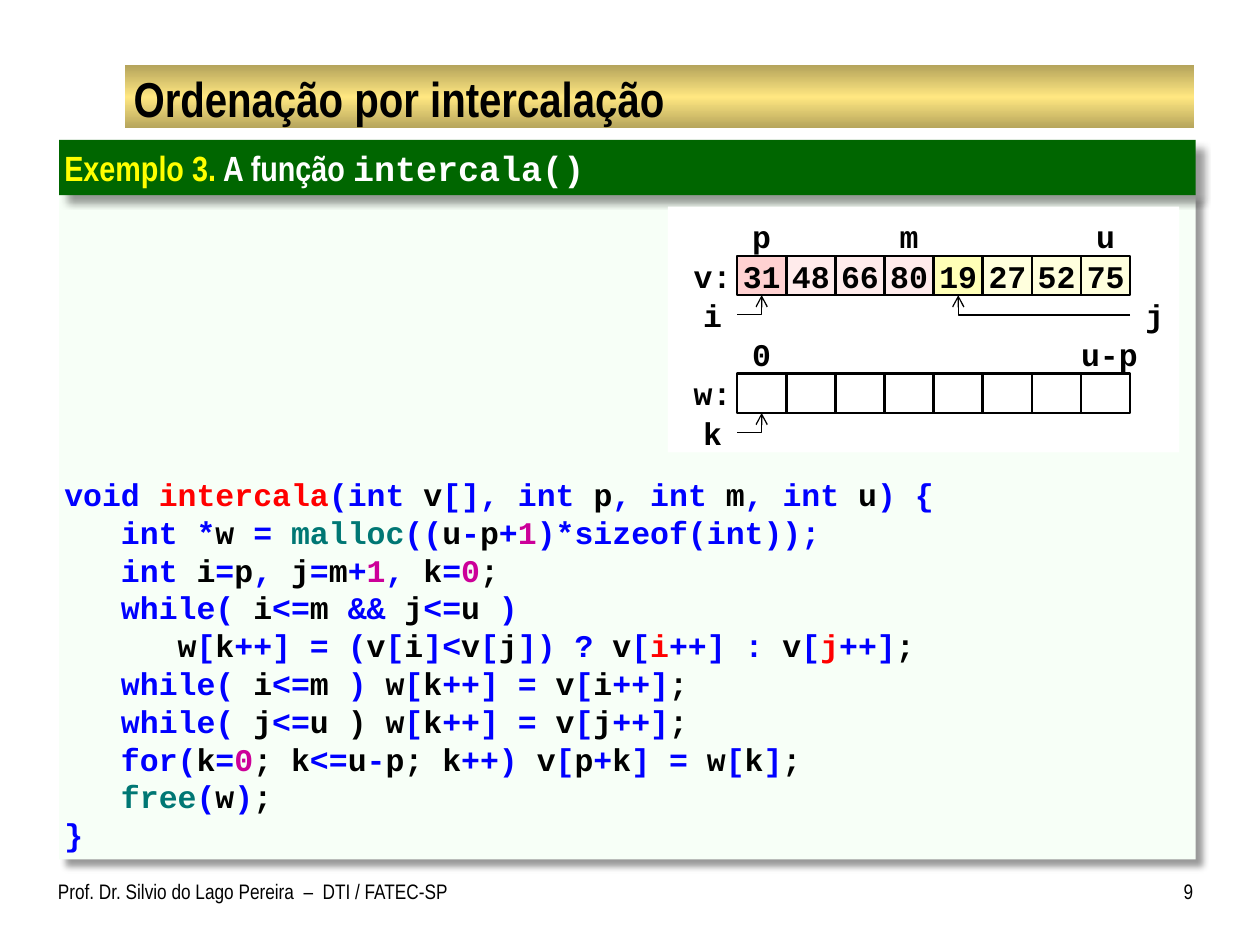
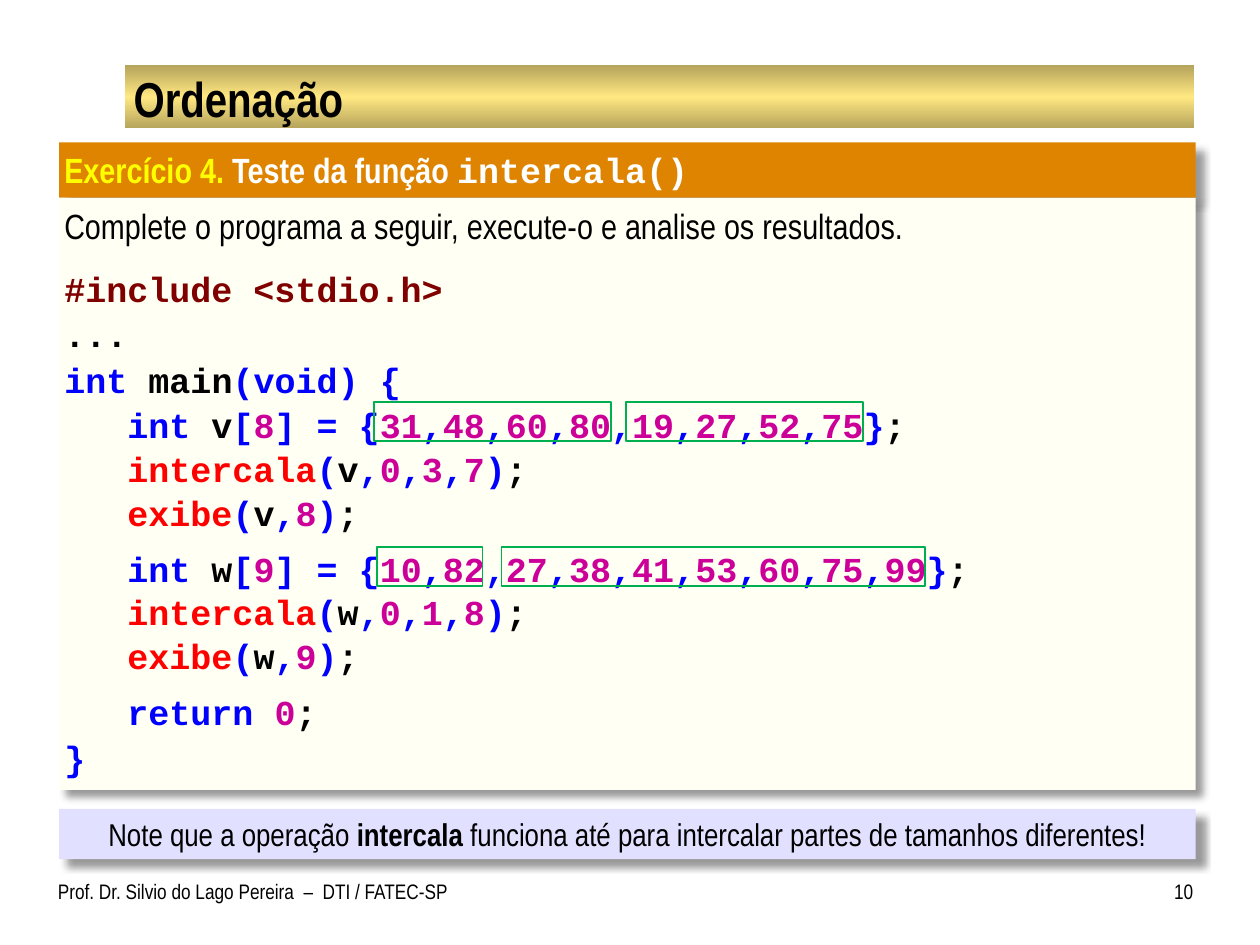
from itertools import groupby
from typing import NamedTuple

from lxml import etree
from pptx import Presentation
from pptx.dml.color import RGBColor
from pptx.enum.shapes import MSO_CONNECTOR as Connector, MSO_SHAPE as Preset
from pptx.enum.text import MSO_ANCHOR as Anchor, MSO_AUTO_SIZE as AutoSize, PP_ALIGN as Align
from pptx.oxml import parse_xml
from pptx.oxml.ns import nsdecls, qn
from pptx.util import Inches, Pt


class Theme:
    sans, mono = "Arial Narrow", "Courier New"
    title, heading, text, footer = 28, 20, 18, 12
    black, white, yellow = "000000", "FFFFFF", "FFFF00"
    band_edge, band_middle = "B5A45C", "FFE781"
    example, example_panel = "006600", "F7FFF7"
    exercise, exercise_panel = "DE8400", "FFFFF3"
    note, marker = "E1E1FF", "00B050"
    first_half, first_current = "FFEBEB", "FFD1D1"
    second_half, second_current = "FFFFDD", "FFFFB7"
    keyword, function, library = "0000FF", "FF0000", "007774"
    number, directive = "CC0099", "800000"


class Box(NamedTuple):
    left: float
    top: float
    width: float
    height: float

    def inches(self):
        return [Inches(length) for length in self]

    def inner(self, left, top, width, height):
        return Box(self.left + left, self.top + top, width, height)


TITLE_BAND = Box(0.99, 0.52, 8.49, 0.5)
TITLE = Box(1, 0.54, 8.47, 0.47)
FOOTER = Box(0.46, 6.92, 9.01, 0.42)

# Code colouring: a mark forces the colour of the token after it
KEYWORDS = {"void", "int", "sizeof", "while", "for", "return"}
WORD_COLORS = {
    **dict.fromkeys(KEYWORDS, Theme.keyword),
    **dict.fromkeys(("intercala", "exibe"), Theme.function),
    **dict.fromkeys(("malloc", "free"), Theme.library),
    **dict.fromkeys(";.", Theme.black),
}
MARKS = {"@": Theme.function, "$": Theme.black, "~": Theme.keyword}

MERGE_CODE = """\
void intercala(int v[], int p, int m, int u) {
   int *w = malloc((u-p+1)*sizeof(int))~;
   int i=p, j=m+1, k=0;
   while( i<=m && j<=u )
      w[k++] = (v[i]<v[j]) ? v[@i++] : v[@j++];
   while( i<=m ) w[k++] = v[i++];
   while( j<=u $) w[k++] = v[j++];
   for(k=0; k<=u-p; k++) v[p+k] = w[k];
   free(w);
}""".splitlines()

TEST_CODE = (
    (12, "#include <stdio.h>"),
    (2, "..."),
    (2, "int main(void) {"),
    (2, "   int v[8] = {31,48,60,80,19,27,52,75};"),
    (1, "   intercala(v,0,3,7);"),
    (1, "   exibe(v,8);"),
    (8, "   int w[9] = {10,82,27,38,41,53,60,75,99};"),
    (1, "   intercala(w,0,1,8);"),
    (1, "   exibe(w,9);"),
    (8, "   return 0;"),
    (2, "}"),
)


# Formatting helpers
def set_values(target, values):
    for name, value in values.items():
        setattr(target, name, value)


def add_span(para, text, size, color=Theme.black, name=Theme.sans, bold=False):
    span = para.add_run()
    span.text = text
    set_values(span.font, {"size": Pt(size), "name": name, "bold": bold})
    span.font.color.rgb = RGBColor.from_string(color)


def set_frame(frame, insets=(0.1, 0.05, 0.1, 0.05), anchor=Anchor.TOP):
    sides = ("margin_left", "margin_top", "margin_right", "margin_bottom")
    set_values(frame, dict(zip(sides, map(Inches, insets))))
    set_values(frame, {"word_wrap": True, "vertical_anchor": anchor,
                       "auto_size": AutoSize.NONE})
    return frame.paragraphs[0]


def add_rectangle(page, box, fill=None, line=None, width=1):
    shape = page.shapes.add_shape(Preset.RECTANGLE, *box.inches())
    shape.shadow.inherit = False
    if fill:
        shape.fill.solid()
        shape.fill.fore_color.rgb = RGBColor.from_string(fill)
    else:
        shape.fill.background()
    if line:
        shape.line.color.rgb = RGBColor.from_string(line)
        shape.line.width = Pt(width)
    else:
        shape.line.fill.background()
    return shape


def add_panel(page, box, fill):
    """Filled rectangle with a soft shadow at the lower right."""
    shape = add_rectangle(page, box, fill)
    effects = shape._element.spPr.find(qn("a:effectLst"))
    effects.append(parse_xml(
        f'<a:outerShdw {nsdecls("a")} blurRad="{Pt(4)}" dist="{Pt(6)}" dir="2700000"'
        ' algn="tl" rotWithShape="0"><a:srgbClr val="000000"><a:alpha val="40000"/>'
        '</a:srgbClr></a:outerShdw>'))
    return shape


def add_label(page, box, text, align=Align.LEFT, insets=(0, 0.05, 0, 0.05),
              anchor=Anchor.TOP, **font):
    label = page.shapes.add_textbox(*box.inches())
    para = set_frame(label.text_frame, insets, anchor)
    para.alignment = align
    add_span(para, text, **font)


# Code text
def color_tokens(line):
    color, forced = Theme.black, None
    for is_word, chars in groupby(line, str.isalnum):
        for token in ["".join(chars)] if is_word else chars:
            if token in MARKS:
                forced = MARKS[token]
                continue
            if token != " ":
                default = Theme.black if is_word else Theme.keyword
                if token.isdigit():
                    default = Theme.number
                color = forced or WORD_COLORS.get(token, default)
                forced = None
            yield token, color


def write_code(para, line, size, before=0):
    code = line.lstrip()
    indent = (len(line) - len(code)) * 0.6 * size
    para._p.get_or_add_pPr().set("marL", str(Pt(indent)))
    set_values(para, {"alignment": Align.LEFT, "space_before": Pt(before),
                      "line_spacing": Pt(1.2 * size)})
    if code.startswith("#"):
        tokens = [(code, Theme.directive)]
    else:
        tokens = color_tokens(code)
    for color, group in groupby(tokens, lambda token: token[1]):
        text = "".join(token for token, _ in group)
        add_span(para, text, size, color, Theme.mono, True)


# Parts shared by the slides
def add_title_band(page):
    """Draw the gradient band once, on the layout."""
    band = add_rectangle(page, TITLE_BAND, Theme.band_middle)
    properties = band._element.spPr
    stops = ((0, Theme.band_edge), (50, Theme.band_middle), (100, Theme.band_edge))
    stop_xml = "".join(f'<a:gs pos="{place * 1000}"><a:srgbClr val="{color}"/></a:gs>'
                       for place, color in stops)
    gradient = parse_xml(f'<a:gradFill {nsdecls("a")} rotWithShape="1"><a:gsLst>{stop_xml}'
                         '</a:gsLst><a:lin ang="5400000" scaled="1"/></a:gradFill>')
    properties.replace(properties.find(qn("a:solidFill")), gradient)
    page.slide_layout.shapes._spTree.insert(2, band._element)


def start_page(deck, title, number):
    page = deck.slides.add_slide(deck.slide_layouts[5])
    holder = page.shapes.title
    set_values(holder, dict(zip(("left", "top", "width", "height"), TITLE.inches())))
    para = set_frame(holder.text_frame, (0.06, 0.01, 0.06, 0.01), Anchor.MIDDLE)
    para.alignment = Align.LEFT
    add_span(para, title, Theme.title, bold=True)
    add_label(page, FOOTER.inner(0, 0, 3.27, FOOTER.height),
              "Prof. Dr. Silvio do Lago Pereira  –  DTI / FATEC-SP", size=Theme.footer)
    add_label(page, FOOTER.inner(FOOTER.width - 0.39, 0, 0.39, FOOTER.height),
              str(number), Align.RIGHT, size=Theme.footer)
    return page


def add_heading(page, box, fill, label, text):
    para = set_frame(add_panel(page, box, fill).text_frame, (0.04, 0.05, 0.1, 0.05))
    para.alignment = Align.LEFT
    add_span(para, label, Theme.heading, Theme.yellow, bold=True)
    add_span(para, f" {text} ", Theme.heading, Theme.white, bold=True)
    add_span(para, "intercala()", Theme.heading, Theme.white, Theme.mono, True)


# Diagram of the two vectors
def add_index_arrow(page, start, end):
    connector = page.shapes.add_connector(Connector.ELBOW, *map(Inches, start + end))
    properties = connector._element.spPr
    properties.find(qn("a:prstGeom")).set("prst", "bentConnector2")
    if end[0] < start[0]:
        transform = properties.find(qn("a:xfrm"))
        transform.attrib.clear()
        transform.set("rot", "10800000")
    connector.line.color.rgb = RGBColor.from_string(Theme.black)
    connector.line.width = Pt(0.75)
    tail = etree.SubElement(properties.find(qn("a:ln")), qn("a:tailEnd"))
    tail.set("type", "arrow")
    etree.SubElement(properties, qn("a:effectLst"))


def add_vectors(page, box):
    add_rectangle(page, box, Theme.white)
    column, row = 0.39, (box.height - 0.08) / 6
    font = {"size": Theme.text, "name": Theme.mono, "bold": True}

    def cell(across, down, span=1):
        return box.inner(0.16 + across * column, 0.08 + down * row, span * column, row)

    # Cells, with the current element of each half in a stronger tint
    values = (31, 48, 66, 80, 19, 27, 52, 75)
    fills = ([Theme.first_current] + [Theme.first_half] * 3
             + [Theme.second_current] + [Theme.second_half] * 3)
    for place, (value, fill) in enumerate(zip(values, fills), start=1):
        shape = add_rectangle(page, cell(place, 1), fill, Theme.black, 1.5)
        para = set_frame(shape.text_frame, (0, 0.05, 0, 0.05), Anchor.MIDDLE)
        para.alignment = Align.CENTER
        add_span(para, str(value), **font)
        add_rectangle(page, cell(place, 4), line=Theme.black, width=1.5)

    # Names and positions
    labels = (("p", 1, 0), ("m", 4, 0), ("u", 8, 0), ("0", 1, 3), ("v:", 0, 1),
              ("w:", 0, 4), ("i", 0, 2), ("j", 9, 2), ("k", 0, 5))
    for text, across, down in labels:
        add_label(page, cell(across, down), text, Align.CENTER, anchor=Anchor.MIDDLE, **font)
    add_label(page, cell(8, 3, 2), "u-p", anchor=Anchor.MIDDLE, **font)

    # Index arrows, from the side of a row up to a cell
    for side, target, down in ((1, 1, 2), (9, 5, 2), (1, 1, 5)):
        start, end = cell(side, down + 0.5), cell(target + 0.5, down)
        add_index_arrow(page, start[:2], end[:2])


# Slides
def add_example(page, box):
    panel = add_panel(page, box.inner(0, 0.43, box.width, box.height - 0.43),
                      Theme.example_panel)
    add_heading(page, box.inner(0, 0, box.width, 0.44), Theme.example,
                "Exemplo 3.", "A função")
    frame = panel.text_frame
    para = set_frame(frame, (0.04, 2.23, 0.04, 0.05))
    for place, line in enumerate(MERGE_CODE):
        write_code(frame.add_paragraph() if place else para, line, Theme.text)
    add_vectors(page, box.inner(4.83, 0.53, 4.06, 1.95))


def add_exercise(page, box):
    add_heading(page, box.inner(0, 0, box.width, 0.44), Theme.exercise,
                "Exercício 4.", "Teste da função")
    panel = add_panel(page, box.inner(0, 0.44, box.width, box.height - 0.44),
                      Theme.exercise_panel)
    frame = panel.text_frame
    para = set_frame(frame, (0.04, 0.05, 0.04, 0.05))
    para.alignment = Align.JUSTIFY
    add_span(para, "Complete o programa a seguir, execute-o e analise os resultados.",
             Theme.heading)
    for before, line in TEST_CODE:
        write_code(frame.add_paragraph(), line, Theme.heading, before)

    # Frames around the sorted parts of each vector
    for left, top, width in ((2.5, 2.06, 1.88), (4.5, 2.06, 1.88),
                             (2.52, 3.21, 0.84), (3.51, 3.21, 3.36)):
        add_rectangle(page, box.inner(left, top, width, 0.31), line=Theme.marker)


def add_note(page, box):
    para = set_frame(add_panel(page, box, Theme.note).text_frame)
    para.alignment = Align.CENTER
    add_span(para, "Note que a operação ", Theme.text)
    add_span(para, "intercala", Theme.text, bold=True)
    add_span(para, " funciona até para intercalar partes de tamanhos diferentes!", Theme.text)


def main():
    deck = Presentation()
    set_values(deck, {"slide_width": Inches(10), "slide_height": Inches(7.5)})

    page = start_page(deck, "Ordenação por intercalação", 9)
    add_title_band(page)
    add_example(page, Box(0.47, 1.11, 9.02, 5.71))

    page = start_page(deck, "Ordenação", 10)
    add_exercise(page, Box(0.47, 1.13, 9.02, 5.14))
    add_note(page, Box(0.47, 6.42, 9.02, 0.4))

    deck.save("out.pptx")


if __name__ == "__main__":
    main()
